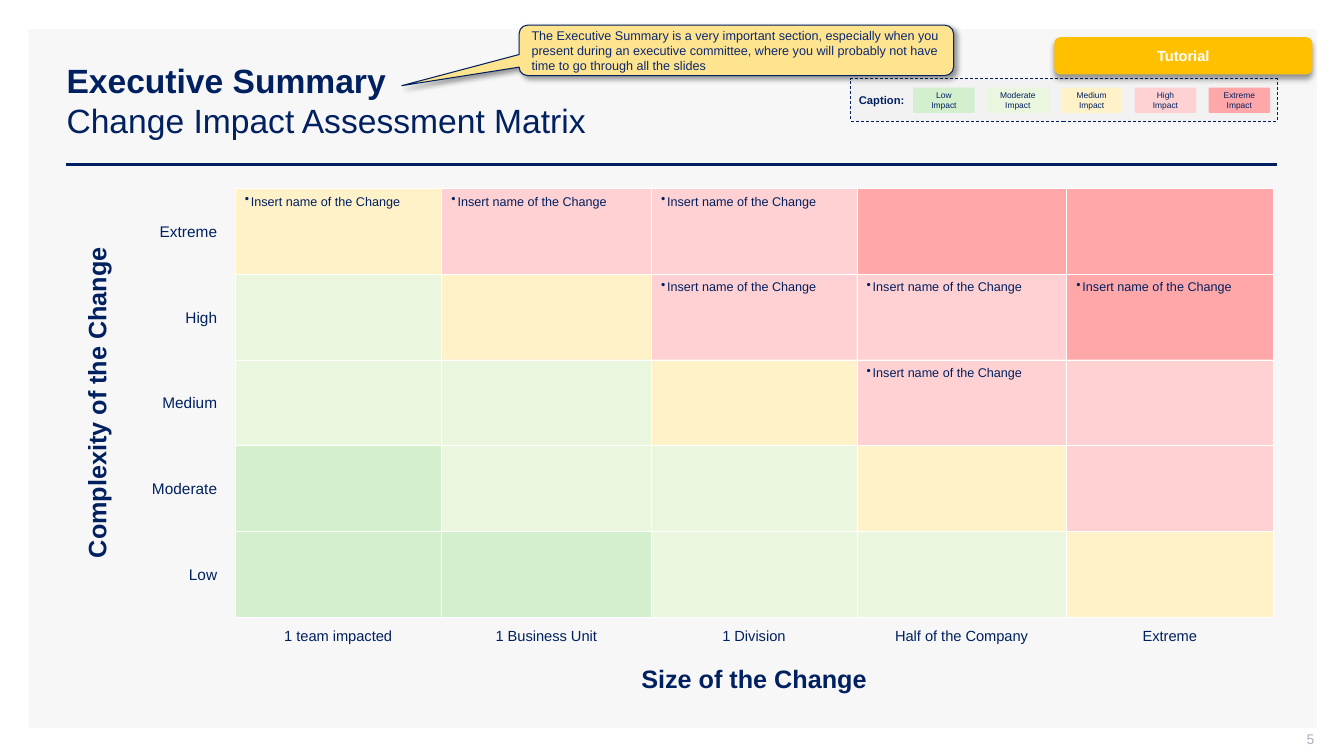
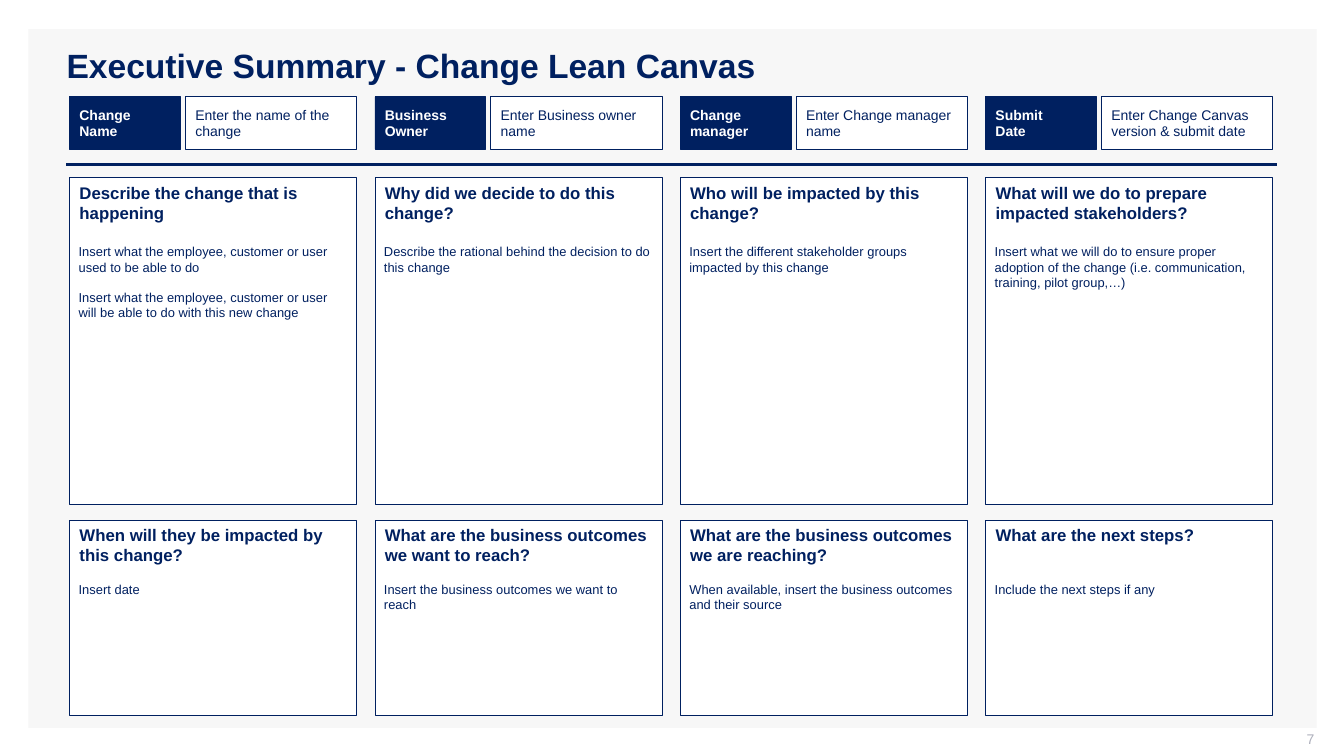
"""Build the executive summary slides: change impact matrix and lean canvas."""
from itertools import accumulate

from lxml import etree
from pptx import Presentation
from pptx.dml.color import RGBColor
from pptx.enum.dml import MSO_LINE
from pptx.enum.shapes import MSO_CONNECTOR, MSO_SHAPE as SHAPE
from pptx.enum.text import MSO_ANCHOR as ANCHOR, MSO_AUTO_SIZE as AUTO, PP_ALIGN as ALIGN
from pptx.oxml.ns import qn
from pptx.util import Pt

FONT = "Arial"
NAVY, WHITE, PANEL, GREY = "002060", "FFFFFF", "F7F7F7", "ADAFBB"
INSETS = (7.2, 3.6, 7.2, 3.6)

LEVELS = [("Low", "D3EFCE"), ("Moderate", "EBF6DE"), ("Medium", "FFF2C9"),
          ("High", "FFD1D2"), ("Extreme", "FFA7A9")]
MATRIX = [("Extreme", (2, 3, 3, 4, 4), (0, 1, 2)),
          ("High", (1, 2, 3, 3, 4), (2, 3, 4)),
          ("Medium", (1, 1, 2, 3, 3), (3,)),
          ("Moderate", (0, 1, 1, 2, 3), ()),
          ("Low", (0, 0, 1, 1, 2), ())]
SIZES = [("1 team impacted", 147.6), ("1 Business Unit", 149.7), ("1 Division", 146.9),
         ("Half of the Company", 149.8), ("Extreme", 147.6)]
CHANGE = "Insert name of the Change"
TIP = ("The Executive Summary is a very important section, especially when you present "
       "during an executive committee, where you will probably not have time to go "
       "through all the slides")

FIELDS = [("Change\nName", "Enter the name of the change"),
          ("Business Owner", "Enter Business owner name"),
          ("Change manager", "Enter Change manager name"),
          ("Submit\nDate", "Enter Change Canvas version & submit date")]
CANVAS = [
    (126.7, 233.3, 170.6, [
        ("Describe the change that is happening",
         "Insert what the employee, customer or user used to be able to do\n"
         "Insert what the employee, customer or user will be able to do with this new change",
         62.6),
        ("Why did we decide to do this change?",
         "Describe the rational behind the decision to do this change", 28.8),
        ("Who will be impacted by this change?",
         "Insert the different stakeholder groups impacted by this change", 40.3),
        ("What will we do to prepare impacted stakeholders?",
         "Insert what we will do to ensure proper adoption of the change "
         "(i.e. communication, training, pilot group,…)", 51.1)]),
    (371.5, 139.7, 411.8, [
        ("When will they be impacted by this change?", "Insert date", 28.8),
        ("What are the business outcomes we want to reach?",
         "Insert the business outcomes we want to reach", 28.8),
        ("What are the business outcomes we are reaching?",
         "When available, insert the business outcomes and their source", 28.8),
        ("What are the next steps?", "Include the next steps if any", 28.8)]),
]


def rgb(value):
    return RGBColor.from_string(value)


def add_run(p, text, size, color=NAVY, bold=False):
    r = p.add_run()
    r.text = text
    r.font.name, r.font.size, r.font.bold = FONT, Pt(size), bold
    r.font.color.rgb = rgb(color)


def write(sp, text, size, color=NAVY, bold=False, align=ALIGN.LEFT, anchor=ANCHOR.MIDDLE,
          insets=INSETS, gap=0, after=0, bullet=False):
    tf = sp.text_frame
    tf.word_wrap, tf.vertical_anchor = True, anchor
    tf.margin_left, tf.margin_top, tf.margin_right, tf.margin_bottom = map(Pt, insets)
    for i, line in enumerate(text.split("\n")):
        p = tf.add_paragraph() if i else tf.paragraphs[0]
        p.alignment = align
        if i and gap:
            p.space_before = Pt(gap)
        if after:
            p.space_after = Pt(after)
        if bullet:
            pPr = p._p.get_or_add_pPr()
            pPr.set("marL", str(Pt(4.3)))
            pPr.set("indent", str(-Pt(4.3)))
            etree.SubElement(pPr, qn("a:buChar")).set("char", "•")
        add_run(p, line, size, color, bold)
    return tf


def add_box(s, x, y, w, h, fill, line=None, width=0.5, kind=SHAPE.RECTANGLE):
    sp = s.shapes.add_shape(kind, Pt(x), Pt(y), Pt(w), Pt(h))
    sp.fill.solid()
    sp.fill.fore_color.rgb = rgb(fill)
    if line:
        sp.line.color.rgb = rgb(line)
        sp.line.width = Pt(width)
    else:
        sp.line.fill.background()
    sp.shadow.inherit = False
    return sp


def add_text(s, x, y, w, h, text, size, **style):
    sp = s.shapes.add_textbox(Pt(x), Pt(y), Pt(w), Pt(h))
    write(sp, text, size, **style)
    return sp


def cast_shadow(sp, angle):
    effects = sp.element.spPr.find(qn("a:effectLst"))
    shadow = etree.SubElement(effects, qn("a:outerShdw"), blurRad=str(Pt(4)),
                              dist=str(Pt(3)), dir=str(angle * 60000), rotWithShape="0")
    color = etree.SubElement(shadow, qn("a:srgbClr"), val="000000")
    etree.SubElement(color, qn("a:alpha"), val="40000")


def decorate_layout(layout, s):
    panel = add_box(s, 20.2, 20.9, 920.2, 499, PANEL)
    rule = s.shapes.add_connector(MSO_CONNECTOR.STRAIGHT, Pt(47.5), Pt(117.4), Pt(912.2), Pt(117.4))
    rule.line.color.rgb = rgb(NAVY)
    rule.line.width = Pt(2)
    etree.SubElement(rule.element.spPr, qn("a:effectLst"))
    for i, sp in enumerate((panel, rule)):
        layout.shapes.element.insert(2 + i, sp.element)


def add_frame(s, title, number, subtitle=None):
    sp = s.shapes.title
    sp.left, sp.top, sp.width, sp.height = Pt(40.3), Pt(28.8), Pt(872), Pt(85.7)
    tf = write(sp, title, 24, bold=True, anchor=ANCHOR.MIDDLE if subtitle else ANCHOR.TOP)
    tf.auto_size = AUTO.NONE
    if subtitle:
        p = tf.paragraphs[0]
        p.add_line_break()
        add_run(p, subtitle, 24)
    add_text(s, 722.9, 522, 216, 15.1, number, 10, color=GREY, align=ALIGN.RIGHT,
             insets=(7.2, 0, 0, 3.6))


def build_legend(s):
    sp = add_box(s, 607.7, 56.2, 304.6, 30.2, "F2F2F2", NAVY)
    sp.line.dash_style = MSO_LINE.DASH
    tf = write(sp, "Caption:", 8, bold=True, insets=(5.8, 7.2, 5.8, 5.8))
    tf.paragraphs[0].line_spacing = 0.9
    for i, (name, color) in enumerate(LEVELS):
        sp = add_box(s, 652.3 + 52.75 * i, 62.6, 43.9, 18, color, kind=SHAPE.ROUNDED_RECTANGLE)
        sp.adjustments[0] = 0.04
        write(sp, f"{name} Impact", 6, align=ALIGN.CENTER, after=3)


def build_matrix(s):
    left, top, row_h = 167.8, 134.6, 61.2
    edges = list(accumulate((w for _, w in SIZES), initial=left))
    bottom = top + row_h * len(MATRIX)
    for row, (name, levels, named) in enumerate(MATRIX):
        y = top + row * row_h
        add_text(s, 92, y + (row_h - 20.9) / 2, 70.2, 20.9, name, 11, align=ALIGN.RIGHT)
        for col, level in enumerate(levels):
            sp = add_box(s, edges[col], y, SIZES[col][1], row_h, LEVELS[level][1], WHITE, 0.25)
            if col in named:
                write(sp, CHANGE, 9, anchor=ANCHOR.TOP, bullet=True)
    for x, (name, w) in zip(edges, SIZES):
        add_text(s, x, bottom + 3.6, w, 20.2, name, 10.5, align=ALIGN.CENTER)
    axis_w, axis_h = 252.7, 36
    axis = {"bold": True, "align": ALIGN.CENTER}
    sp = add_text(s, 68.8 - axis_w / 2, (top + bottom - axis_h) / 2, axis_w, axis_h,
                  "Complexity of the Change", 18, **axis)
    sp.rotation = 270
    add_text(s, (left + edges[-1] - axis_w) / 2, 466.6, axis_w, axis_h,
             "Size of the Change", 18, **axis)


def build_notes(s):
    tip = add_box(s, 370.8, 18, 310.3, 36, "FFE48F", NAVY, 0.75, SHAPE.ROUNDED_RECTANGULAR_CALLOUT)
    for i, value in enumerate((-0.77, 0.7, 0.17)):
        tip.adjustments[i] = value
    write(tip, TIP, 9, color="0C2870", after=3)
    cast_shadow(tip, 45)
    tag = add_box(s, 753.1, 26.6, 184.3, 26.6, "FFC000", kind=SHAPE.ROUNDED_RECTANGLE)
    write(tag, "Tutorial", 10.5, color=WHITE, bold=True, align=ALIGN.CENTER)
    cast_shadow(tag, 90)


def build_canvas(s):
    left, pitch, card_w = 49.7, 218.1, 205.2
    field_y, field_h, label_w, value_w = 69.1, 37.4, 79.2, 122.4
    for i, (label, value) in enumerate(FIELDS):
        x = left + i * pitch
        write(add_box(s, x, field_y, label_w, field_h, NAVY, NAVY), label, 10, color=WHITE, bold=True)
        write(add_box(s, x + card_w - value_w, field_y, value_w, field_h, WHITE, NAVY), value, 10)
    for y, h, body_y, cards in CANVAS:
        for i, (question, answer, body_h) in enumerate(cards):
            x = left + i * pitch
            write(add_box(s, x, y, card_w, h, WHITE, NAVY), question, 12, bold=True, anchor=ANCHOR.TOP)
            add_text(s, x, body_y, card_w, body_h, answer, 9.2, anchor=ANCHOR.TOP,
                     insets=(6.5, 3.6, 6.5, 3.6), gap=10.6)


def main():
    prs = Presentation()
    prs.slide_width, prs.slide_height = Pt(960), Pt(540)
    layout = prs.slide_layouts[5]

    s = prs.slides.add_slide(layout)
    decorate_layout(layout, s)
    add_frame(s, "Executive Summary", "5", "Change Impact Assessment Matrix")
    build_legend(s)
    build_matrix(s)
    build_notes(s)

    s = prs.slides.add_slide(layout)
    add_frame(s, "Executive Summary - Change Lean Canvas", "7")
    build_canvas(s)

    prs.save("out.pptx")


if __name__ == "__main__":
    main()
